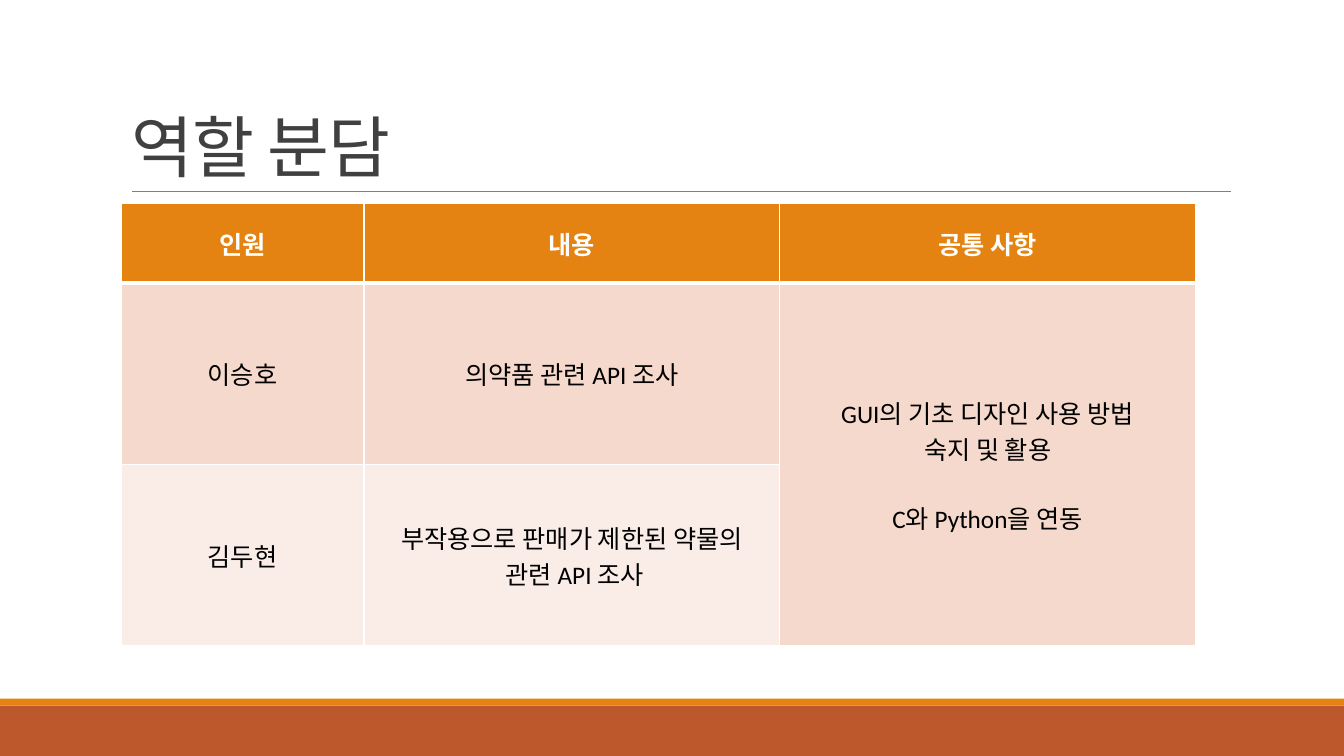
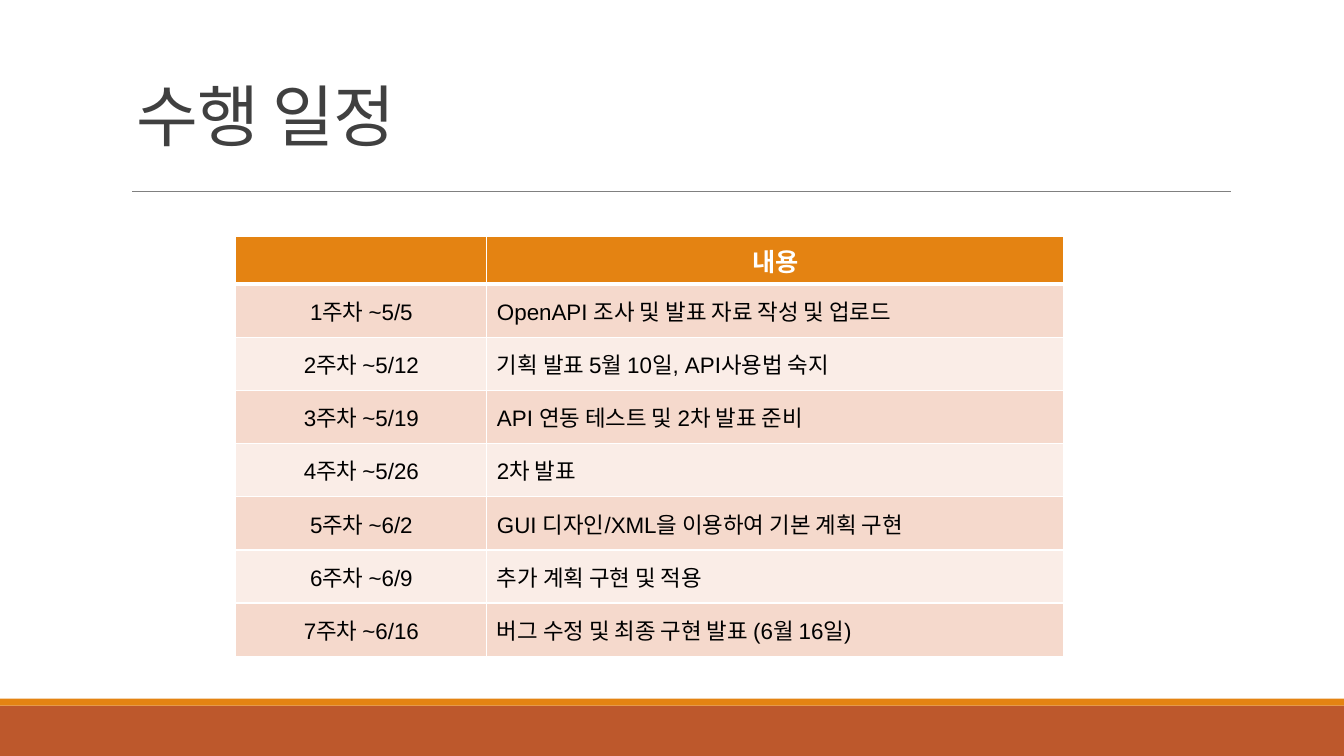
from dataclasses import dataclass

from lxml import etree
from pptx import Presentation
from pptx import util as u
from pptx.dml.color import RGBColor
from pptx.enum import shapes, text
from pptx.oxml import ns


@dataclass(frozen=True)
class Theme:
    """Colours, fonts and type sizes of the deck."""
    rust: str = "BD582C"
    amber: str = "E48312"
    rule: str = "808080"
    title: str = "404040"
    white: str = "FFFFFF"
    ink: str = "000000"
    tints: tuple = ("F5D9CC", "FAEDE7")
    face: str = "Calibri"
    plain: str = "Arial"
    big: int = 48
    head: int = 18
    small: int = 16
    gap: int = 23


def rgb(code):
    """Turn a hex code into a colour."""
    return RGBColor.from_string(code)


def style(par, face, size, color, bold=False):
    """Set the font of a whole paragraph."""
    font = par.font
    font.name, font.size, font.bold = face, u.Pt(size), bold
    font.color.rgb = rgb(color)


class Deck:
    """Build slides on a grid of 100 columns by 100 rows."""

    def __init__(self, theme):
        """Start a wide, empty deck."""
        self.theme = theme
        self.prs = Presentation()
        self.prs.slide_width = u.Inches(13.33)
        self.prs.slide_height = u.Inches(7.5)
        self.slide = None

    def x(self, cols):
        """Give the length of some grid columns."""
        return u.Emu(round(self.prs.slide_width * cols / 100))

    def y(self, rows):
        """Give the length of some grid rows."""
        return u.Emu(round(self.prs.slide_height * rows / 100))

    def page(self, title, left, top):
        """Add a slide with its bands, rule and title."""
        self.slide = self.prs.slides.add_slide(self.prs.slide_layouts[5])
        self.band(93.33, 6.67, self.theme.rust)
        self.band(92.4, 0.93, self.theme.amber)
        self.rule(9.83, 91.6, 25.33)
        self.title(title, left, top)

    def band(self, top, tall, color):
        """Draw a band across the slide."""
        box = self.slide.shapes.add_shape(
            shapes.MSO_SHAPE.RECTANGLE, 0, self.y(top), self.x(100), self.y(tall))
        box.shadow.inherit = False
        box.fill.solid()
        box.fill.fore_color.rgb = rgb(color)
        box.line.fill.background()

    def rule(self, left, right, top):
        """Draw the thin line under the title."""
        line = self.slide.shapes.add_connector(
            shapes.MSO_CONNECTOR.STRAIGHT,
            self.x(left), self.y(top), self.x(right), self.y(top))
        line.line.color.rgb = rgb(self.theme.rule)
        line.line.width = u.Pt(0.5)
        etree.SubElement(line._element.spPr, ns.qn("a:effectLst"))

    def title(self, words, left, top):
        """Place and format the title."""
        box = self.slide.shapes.title
        box.left, box.top = self.x(left), self.y(top)
        box.width, box.height = self.x(82.5), self.y(21.2)
        frame = box.text_frame
        frame.text = words
        frame.word_wrap = True
        frame.auto_size = text.MSO_AUTO_SIZE.NONE
        frame.vertical_anchor = text.MSO_ANCHOR.BOTTOM
        par = frame.paragraphs[0]
        par.alignment = text.PP_ALIGN.LEFT
        par.line_spacing = 0.85
        style(par, self.theme.face, self.theme.big, self.theme.title)
        par.runs[0]._r.get_or_add_rPr().set("spc", "-50")

    def edge(self, cell, base):
        """Draw white borders round a cell."""
        props = cell._tc.get_or_add_tcPr()
        for side, wide in (("L", 1), ("R", 1), ("T", 1), ("B", base)):
            line = etree.SubElement(
                props, ns.qn(f"a:ln{side}"), w=str(u.Pt(wide)))
            fill = etree.SubElement(line, ns.qn("a:solidFill"))
            etree.SubElement(fill, ns.qn("a:srgbClr"), val=self.theme.white)

    def cell(self, cell, words, row, align, face, size):
        """Fill one table cell and set its text."""
        theme, top = self.theme, row == 0
        self.edge(cell, 3 if top else 1)
        cell.fill.solid()
        cell.fill.fore_color.rgb = rgb(
            theme.amber if top else theme.tints[(row - 1) % 2])
        cell.vertical_anchor = text.MSO_ANCHOR.MIDDLE
        cell.text = words
        for par in cell.text_frame.paragraphs:
            par.alignment = text.PP_ALIGN.CENTER if top else align
            if top:
                style(par, theme.face, theme.head, theme.white, True)
            else:
                style(par, face, size, theme.ink)

    def table(self, left, top, cols, rows, data, aligns, face, size):
        """Add a table with a header and tinted rows."""
        grid = self.slide.shapes.add_table(
            len(rows), len(cols), self.x(left), self.y(top),
            self.x(sum(cols)), self.y(sum(rows))).table
        for col, wide in zip(grid.columns, cols):
            col.width = self.x(wide)
        for row, tall in zip(grid.rows, rows):
            row.height = self.y(tall)
        for r, line in enumerate(data):
            for c, words in enumerate(line):
                self.cell(grid.cell(r, c), words, r, aligns[c], face, size)
        return grid


def roles(deck):
    """Build the slide on who does what."""
    theme, mid = deck.theme, text.PP_ALIGN.CENTER
    deck.page("역할 분담", 9, 4.13)
    data = [
        ("인원", "내용", "공통 사항"),
        ("이승호", "의약품 관련 API 조사",
         "GUI의 기초 디자인 사용 방법\n숙지 및 활용\nC와 Python을 연동"),
        ("김두현", "부작용으로 판매가 제한된 약물의\n 관련 API 조사", ""),
    ]
    grid = deck.table(9, 26.93, [18.08, 30.94, 30.94], [10.53, 24, 24],
                      data, [mid] * 3, theme.face, theme.head)
    both = grid.cell(1, 2)
    both.merge(grid.cell(2, 2))
    both.text_frame.paragraphs[-1].space_before = u.Pt(theme.gap)


def plan(deck):
    """Build the slide with the weekly plan."""
    theme = deck.theme
    deck.page("수행 일정", 9.38, 0)
    weeks = [
        ("5/5", "OpenAPI 조사 및 발표 자료 작성 및 업로드"),
        ("5/12", "기획 발표 5월 10일, API사용법 숙지"),
        ("5/19", "API 연동 테스트 및 2차 발표 준비"),
        ("5/26", "2차 발표"),
        ("6/2", "GUI 디자인/XML을 이용하여 기본 계획 구현"),
        ("6/9", "추가 계획 구현 및 적용"),
        ("6/16", "버그 수정 및 최종 구현 발표 (6월 16일)"),
    ]
    data = [("", "내용")] + [
        (f"{n}주차 ~{day}", task) for n, (day, task) in enumerate(weeks, 1)]
    deck.table(17.55, 31.33, [18.68, 42.9], [6.27] + [7.03] * len(weeks), data,
               [text.PP_ALIGN.CENTER, text.PP_ALIGN.LEFT],
               theme.plain, theme.small)


def main():
    """Build and save the deck."""
    deck = Deck(Theme())
    roles(deck)
    plan(deck)
    deck.prs.save("out.pptx")


if __name__ == "__main__":
    main()
